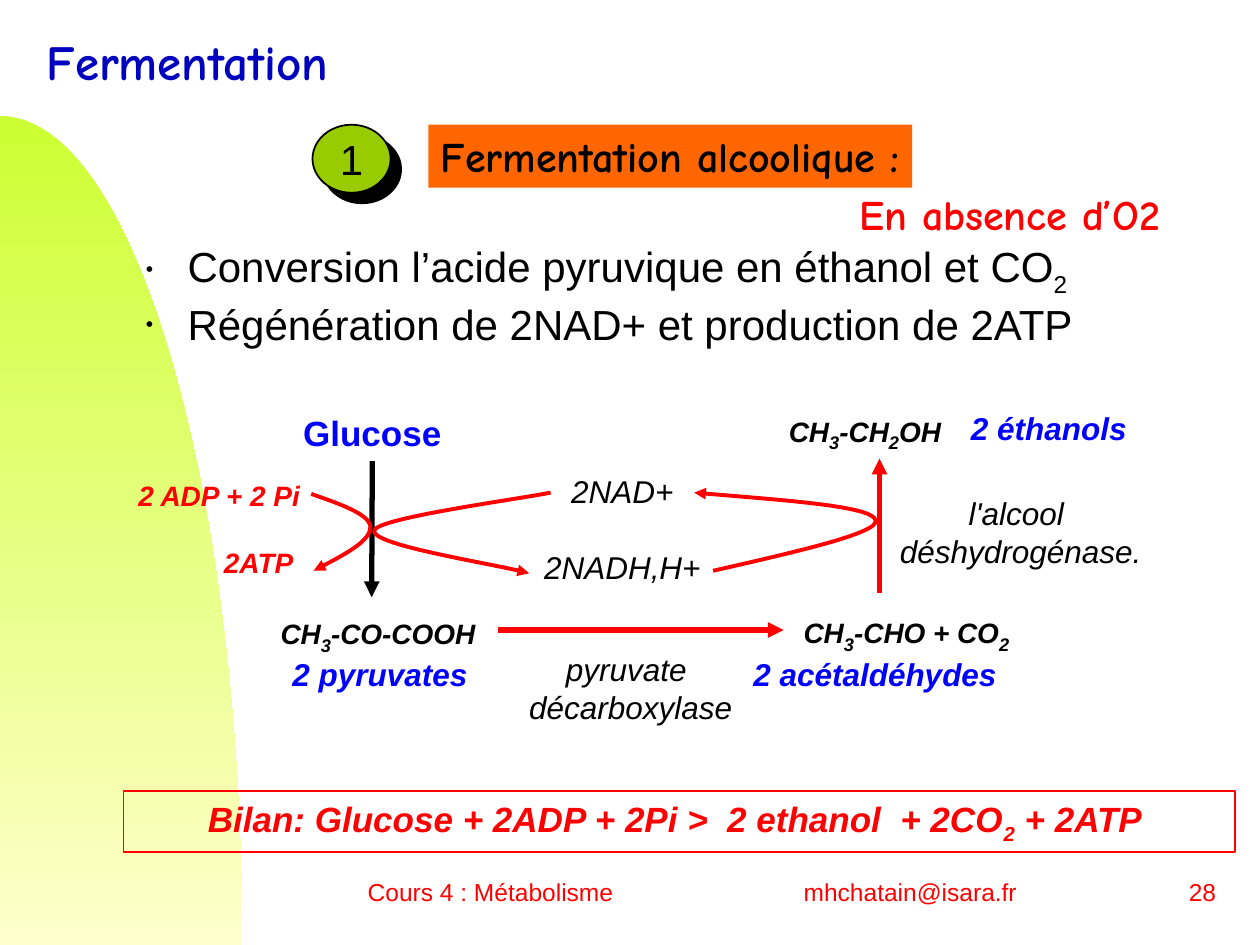
"""Build the alcoholic fermentation slide."""
import pptx
import pptx.dml.color
import pptx.enum.shapes
import pptx.enum.text
import pptx.oxml
import pptx.oxml.ns
import pptx.util
from lxml import etree

Inches, Pt = pptx.util.Inches, pptx.util.Pt
RGBColor = pptx.dml.color.RGBColor
PP_ALIGN = pptx.enum.text.PP_ALIGN
MSO_ANCHOR = pptx.enum.text.MSO_ANCHOR
MSO_SHAPE = pptx.enum.shapes.MSO_SHAPE
qn = pptx.oxml.ns.qn

BLACK = RGBColor(0x00, 0x00, 0x00)
RED = RGBColor(0xFF, 0x00, 0x00)
BLUE = RGBColor(0x00, 0x00, 0xFF)
NAVY = RGBColor(0x00, 0x00, 0xBF)
GREEN = RGBColor(0x99, 0xCC, 0x00)
ORANGE = RGBColor(0xFF, 0x66, 0x00)
LIME = RGBColor(0xCC, 0xFF, 0x33)
CREAM = RGBColor(0xFF, 0xFF, 0xCC)
SANS, COMIC = "Arial", "Comic Neue"


def write(sp, lines, size, color, font=SANS, bold=False, italic=False, sub=None,
          align=PP_ALIGN.CENTER, anchor=MSO_ANCHOR.TOP, wrap=False, gap=0):
    """Write lines into a shape; text between underscores is subscript."""
    tf = sp.text_frame
    tf.auto_size = pptx.enum.text.MSO_AUTO_SIZE.NONE
    tf.word_wrap = wrap
    tf.vertical_anchor = anchor
    tf.margin_left = tf.margin_right = Inches(0.1)
    tf.margin_top = tf.margin_bottom = Inches(0.05)
    for i, line in enumerate(lines):
        p = tf.add_paragraph() if i else tf.paragraphs[0]
        p.alignment = align
        p.space_before = Pt(gap if i else 0)
        for j, chunk in enumerate(line.split("_")):
            if not chunk:
                continue
            r = p.add_run()
            r.text = chunk
            f = r.font
            f.name, f.bold, f.italic = font, bold, italic
            f.size = Pt(sub if sub and j % 2 else size)
            f.color.rgb = color
            if j % 2:
                r._r.get_or_add_rPr().set("baseline", "-25000")
    return tf


def add_text(shapes, box, lines, size, color, **style):
    """Add a text box."""
    sp = shapes.add_textbox(*map(Inches, box))
    write(sp, lines, size, color, **style)
    return sp


def add_block(shapes, kind, box, fill=None, line=None):
    """Add a preset shape with an optional fill and outline."""
    sp = shapes.add_shape(kind, *map(Inches, box))
    sp.shadow.inherit = False
    if fill is None:
        sp.fill.background()
    else:
        sp.fill.solid()
        sp.fill.fore_color.rgb = fill
    if line is None:
        sp.line.fill.background()
    else:
        sp.line.color.rgb = line
        sp.line.width = Pt(1)
    return sp


def add_drop_shadow(sp):
    """Give a shape a hard black shadow to its lower right."""
    effects = sp._element.spPr.find(qn("a:effectLst"))
    shadow = etree.SubElement(effects, qn("a:outerShdw"), dist=str(Pt(8.5)),
                              dir="2700000", algn="ctr", rotWithShape="0")
    etree.SubElement(shadow, qn("a:srgbClr"), val="010000")


def add_tip(sp, end):
    """Put a triangle on the headEnd or tailEnd of a line."""
    etree.SubElement(sp.line._get_or_add_ln(), qn("a:" + end), type="triangle")


def add_arrow(shapes, start, end, color, tip="tailEnd", origin=None):
    """Add a straight arrow, joined to the bottom of origin if given."""
    c = shapes.add_connector(pptx.enum.shapes.MSO_CONNECTOR.STRAIGHT,
                             *map(Inches, start + end))
    if origin is not None:
        c.begin_connect(origin, 2)
    c.line.color.rgb = color
    c.line.width = Pt(3)
    add_tip(c, tip)
    etree.SubElement(c._element.spPr, qn("a:effectLst"))


def add_curve(shapes, points, corners=(), close=False):
    """Add an outline of cubic curves, followed by straight corners."""
    start, *rest = [tuple(map(Inches, point)) for point in (*points, *corners)]
    fb = shapes.build_freeform(*start)
    fb.add_line_segments(rest, close=close)
    sp = fb.convert_to_shape()
    sp.shadow.inherit = False
    segments = list(sp._element.iter(qn("a:lnTo")))[:len(points) - 1]
    for k in range(0, len(segments), 3):
        curve = etree.Element(qn("a:cubicBezTo"))
        segments[k].addprevious(curve)
        for segment in segments[k:k + 3]:
            curve.append(segment[0])
            segment.getparent().remove(segment)
    return sp


def add_curved_arrow(shapes, points, end):
    """Add a red curved arrow."""
    sp = add_curve(shapes, points)
    sp.fill.background()
    sp.line.color.rgb = RED
    sp.line.width = Pt(2.25)
    add_tip(sp, end)


def add_backdrop(shapes):
    """Add the gradient quarter ellipse on the left."""
    sp = add_curve(shapes, [(0, 0.92), (1.06, 0.92), (1.92, 3.87), (1.92, 7.5)],
                   [(0, 7.5)], close=True)
    sp.line.fill.background()
    sp.fill.gradient()
    sp.fill.gradient_angle = 270
    for stop, color in zip(sp.fill.gradient_stops, (LIME, CREAM)):
        stop.color.rgb = color


def add_bullets(shapes, box, lines):
    """Add a bulleted list with small black bullets."""
    sp = shapes.add_textbox(*map(Inches, box))
    tf = write(sp, lines, 24, BLACK, align=PP_ALIGN.LEFT, wrap=True, gap=0.5)
    for p in tf.paragraphs:
        pPr = p._p.get_or_add_pPr()
        pPr.set("marL", str(Inches(0.33)))
        pPr.set("indent", str(-Inches(0.33)))
        color = etree.SubElement(pPr, qn("a:buClr"))
        etree.SubElement(color, qn("a:srgbClr"), val=str(BLACK))
        etree.SubElement(pPr, qn("a:buSzPct"), val="50000")
        etree.SubElement(pPr, qn("a:buFont"), typeface=SANS)
        etree.SubElement(pPr, qn("a:buChar"), char="•")


def add_footer(shapes):
    """Add the course name, the contact and the page number."""
    sp = add_text(shapes, (2.82, 6.83, 5.4, 0.5),
                  ["Cours 4 : Métabolisme\tmhchatain@isara.fr"], 14, RED,
                  align=PP_ALIGN.LEFT, anchor=MSO_ANCHOR.MIDDLE, wrap=True)
    pPr = sp.text_frame.paragraphs[0]._p.get_or_add_pPr()
    tabs = etree.SubElement(pPr, qn("a:tabLst"))
    etree.SubElement(tabs, qn("a:tab"), pos=str(Inches(3.46)), algn="l")
    add_text(shapes, (7.67, 6.83, 2.08, 0.5), ["28"], 14, RED,
             align=PP_ALIGN.RIGHT, anchor=MSO_ANCHOR.MIDDLE, wrap=True)


def add_pathway(shapes):
    """Add the reaction diagram."""
    for box, lines in (((7.04, 3.87, 2.12, 0.7), ["l'alcool ", "déshydrogénase."]),
                       ((4.1, 5.11, 1.81, 0.7), ["pyruvate ", "décarboxylase"])):
        add_text(shapes, box, lines, 18, BLACK, italic=True)
    add_text(shapes, (4.22, 3.7, 1.44, 1), ["2NAD+", "2NADH,H+"], 18, BLACK,
             italic=True, gap=21.5)
    add_text(shapes, (0.98, 3.75, 1.5, 0.9), ["2 ADP + 2 Pi", "2ATP "], 16, RED,
             bold=True, italic=True, align=PP_ALIGN.RIGHT, gap=19)
    for box, name in (((2.22, 5.15, 1.59, 0.4), "2 pyruvates"),
                      ((5.88, 5.15, 2.13, 0.4), "2 acétaldéhydes"),
                      ((7.61, 3.2, 1.43, 0.4), "2 éthanols")):
        add_text(shapes, box, [name], 18, BLUE, bold=True, italic=True)
    for box, formula in (((6.16, 3.21, 1.41, 0.44), "CH_3_-CH_2_OH"),
                         ((6.28, 4.81, 1.83, 0.44), "CH_3_-CHO + CO_2_"),
                         ((2.13, 4.82, 1.74, 0.44), "CH_3_-CO-COOH")):
        add_text(shapes, box, [formula], 16, BLACK, bold=True, italic=True, sub=18)
    glucose = add_text(shapes, (2.31, 3.22, 1.29, 0.44), ["Glucose"], 20, BLUE, bold=True)
    add_arrow(shapes, (2.95, 3.66), (2.95, 4.74), BLACK, origin=glucose)
    add_arrow(shapes, (3.95, 5), (6.22, 5), RED)
    add_arrow(shapes, (6.98, 3.64), (6.98, 4.71), RED, tip="headEnd")
    add_curved_arrow(shapes, [(2.47, 3.92), (2.7, 4), (2.93, 4.08), (2.94, 4.18),
                              (2.94, 4.29), (2.72, 4.41), (2.49, 4.53)], "tailEnd")
    add_curved_arrow(shapes, [(4.37, 3.91), (4.13, 3.96), (3, 4.11), (2.97, 4.21),
                              (2.94, 4.32), (3.95, 4.48), (4.2, 4.55)], "tailEnd")
    add_curved_arrow(shapes, [(5.51, 3.91), (6.22, 3.97), (6.93, 4.02), (6.95, 4.13),
                              (6.98, 4.23), (6.32, 4.38), (5.66, 4.53)], "headEnd")


def main():
    """Build and save the slide."""
    prs = pptx.Presentation()
    prs.slide_width, prs.slide_height = Inches(10), Inches(7.5)
    s = prs.slides.add_slide(prs.slide_layouts[5])
    add_backdrop(s.shapes)
    title = s.shapes.title
    title.left, title.top, title.width, title.height = map(Inches, (0.27, 0.2, 5.64, 0.57))
    write(title, ["Fermentation"], 28, NAVY, font=COMIC, bold=True,
          align=PP_ALIGN.LEFT, wrap=True)
    add_footer(s.shapes)
    balance = add_block(s.shapes, MSO_SHAPE.RECTANGLE, (0.98, 6.28, 8.82, 0.48), line=RED)
    write(balance, ["Bilan: Glucose + 2ADP + 2Pi >  2 ethanol  + 2CO_2_ + 2ATP "],
          20, RED, bold=True, italic=True, wrap=True)
    number = add_block(s.shapes, MSO_SHAPE.OVAL, (2.48, 0.99, 0.62, 0.54), GREEN, BLACK)
    add_drop_shadow(number)
    write(number, ["1"], 24, BLACK, anchor=MSO_ANCHOR.MIDDLE)
    add_bullets(s.shapes, (1.06, 1.86, 8.11, 0.96),
                ["Conversion l’acide pyruvique en éthanol et CO_2_",
                 "Régénération de 2NAD+ et production de 2ATP"])
    add_pathway(s.shapes.add_group_shape().shapes)
    add_text(s.shapes, (5.65, 1.38, 4.73, 0.64), ["En absence d’O2"], 24, RED,
             font=COMIC, bold=True, anchor=MSO_ANCHOR.MIDDLE, wrap=True)
    heading = add_block(s.shapes, MSO_SHAPE.RECTANGLE, (3.4, 0.99, 3.84, 0.5), ORANGE)
    write(heading, ["Fermentation alcoolique :"], 24, BLACK, font=COMIC, bold=True,
          align=PP_ALIGN.LEFT)
    prs.save("out.pptx")


if __name__ == "__main__":
    main()
